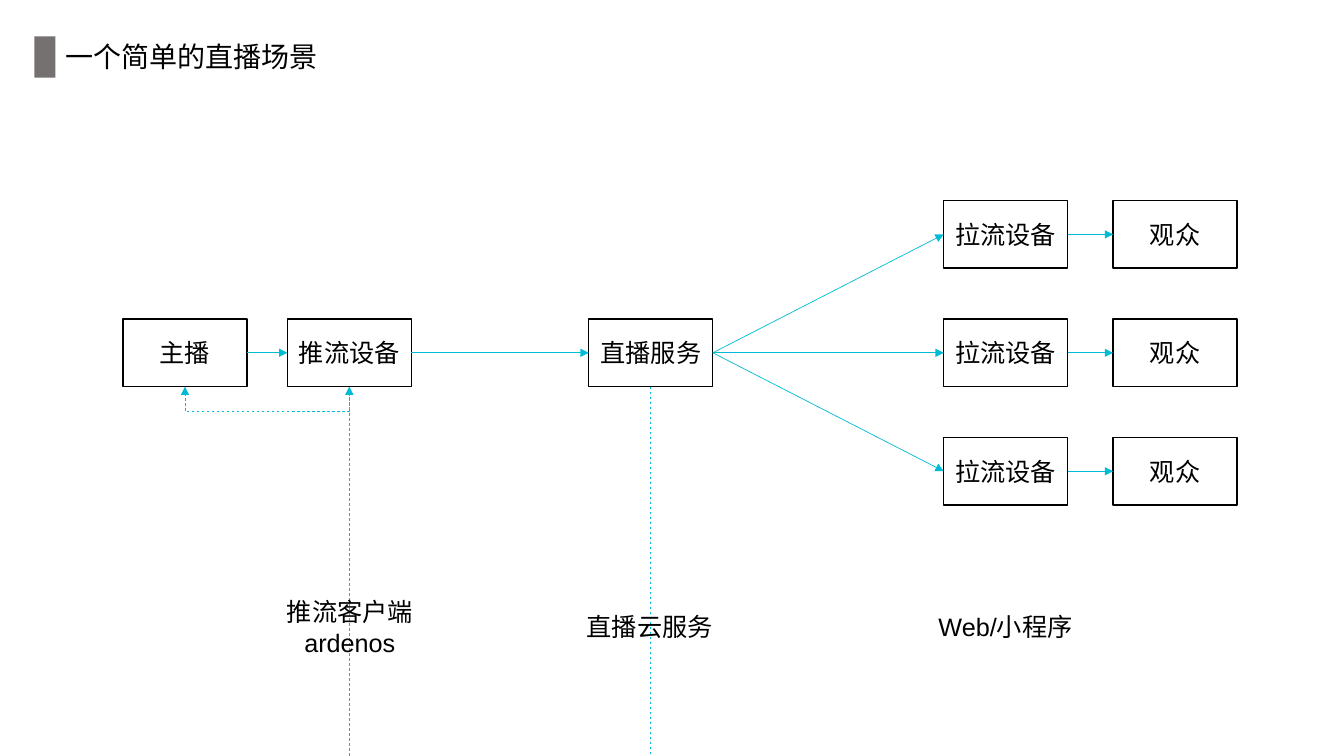
import pptx
import pptx.util
import pptx.oxml
import pptx.dml.color
import pptx.enum.dml
import pptx.enum.shapes
import pptx.enum.text
from pptx.util import Inches

# Content
TITLE = "一个简单的直播场景"
BOXES = {  # name: (text, column, row)
    "host": ("主播", 0, 1),
    "pusher": ("推流设备", 1, 1),
    "service": ("直播服务", 2, 1),
    "player 0": ("拉流设备", 3, 0),
    "player 1": ("拉流设备", 3, 1),
    "player 2": ("拉流设备", 3, 2),
    "viewer 0": ("观众", 4, 0),
    "viewer 1": ("观众", 4, 1),
    "viewer 2": ("观众", 4, 2),
}
ARROWS = [("host", "pusher"), ("pusher", "service")]
for row in range(3):
    ARROWS += [("service", f"player {row}"), (f"player {row}", f"viewer {row}")]
LABELS = [  # lines, left, top, width, height, centred, wrapped
    (["推流客户端", "ardenos"], 2.74, 5.87, 1.46, 0.71, True, False),
    (["直播云服务"], 5.72, 6.02, 1.46, 0.4, False, False),
    (["Web/小程序"], 9.21, 6.02, 1.54, 0.4, False, True),
]

# Layout and style
SLIDE_WIDTH, SLIDE_HEIGHT = 13.33, 7.5
COLUMN_LEFT = [1.22, 2.85, 5.84, 9.36, 11.04]
ROW_TOP, ROW_BOTTOM = 1.99, 4.34
ROW_PITCH = (ROW_BOTTOM - ROW_TOP) / 2
BOX_WIDTH, BOX_HEIGHT = 1.23, 0.67
LEFT_SITE, RIGHT_SITE = 1, 3
COLORS = {"text": "000000", "white": "FFFFFF", "marker": "767171", "flow": "00BBD6"}
RECTANGLE = pptx.enum.shapes.MSO_SHAPE.RECTANGLE
STRAIGHT = pptx.enum.shapes.MSO_CONNECTOR.STRAIGHT
ANCHOR = pptx.enum.text.MSO_ANCHOR
ALIGN = pptx.enum.text.PP_ALIGN


def color(name):
    return pptx.dml.color.RGBColor.from_string(COLORS[name])


def write(frame, lines, size, align):
    for index, line in enumerate(lines):
        paragraph = frame.paragraphs[0] if index == 0 else frame.add_paragraph()
        paragraph.alignment = align
        run = paragraph.add_run()
        run.text = line
        run.font.size = pptx.util.Pt(size)
        run.font.name = "Arial"
        run.font.color.rgb = color("text")


def add_rectangle(left, top, width, height, fill):
    shape = slide.shapes.add_shape(
        RECTANGLE, Inches(left), Inches(top), Inches(width), Inches(height))
    shape.shadow.inherit = False
    shape.fill.solid()
    shape.fill.fore_color.rgb = color(fill)
    return shape


def style_flow(shape, dashed=False, arrow=True):
    shape.line.color.rgb = color("flow")
    shape.line.width = pptx.util.Pt(0.5)
    if dashed:
        shape.line.dash_style = pptx.enum.dml.MSO_LINE.DASH
    if arrow:
        tail = pptx.oxml.parse_xml(
            '<a:tailEnd xmlns:a="http://schemas.openxmlformats.org/drawingml/2006/main"'
            ' type="triangle"/>')
        shape.line._get_or_add_ln().append(tail)


def add_flow(start, end, **style):
    connector = slide.shapes.add_connector(STRAIGHT, *map(Inches, start + end))
    style_flow(connector, **style)
    connector._element.spPr.append(pptx.oxml.parse_xml(
        '<a:effectLst xmlns:a="http://schemas.openxmlformats.org/drawingml/2006/main"/>'))
    return connector


presentation = pptx.Presentation()
presentation.slide_width = Inches(SLIDE_WIDTH)
presentation.slide_height = Inches(SLIDE_HEIGHT)
slide = presentation.slides.add_slide(presentation.slide_layouts[5])

# Title with its marker
add_rectangle(0.34, 0.36, 0.21, 0.41, "marker").line.fill.background()
title = slide.shapes.title
title.left, title.top, title.width, title.height = map(Inches, (0.55, 0.34, 2.73, 0.44))
title.text_frame.word_wrap = False
title.text_frame.auto_size = pptx.enum.text.MSO_AUTO_SIZE.NONE
title.text_frame.vertical_anchor = ANCHOR.TOP
write(title.text_frame, [TITLE], 20, ALIGN.LEFT)

# Boxes
boxes = {}
for name, (text, column, row) in BOXES.items():
    box = add_rectangle(COLUMN_LEFT[column], ROW_TOP + row * ROW_PITCH,
                        BOX_WIDTH, BOX_HEIGHT, "white")
    box.line.color.rgb = color("text")
    box.line.width = pptx.util.Pt(1)
    box.text_frame.word_wrap = True
    box.text_frame.vertical_anchor = ANCHOR.MIDDLE
    write(box.text_frame, [text], 18, ALIGN.CENTER)
    boxes[name] = box

# Arrows between boxes
for source, target in ARROWS:
    connector = add_flow((0, 0), (1, 1))
    connector.begin_connect(boxes[source], RIGHT_SITE)
    connector.end_connect(boxes[target], LEFT_SITE)

# Dashed return path: service to pusher by way of the bottom edge, pusher to host
host_x, pusher_x, service_x = (left + BOX_WIDTH / 2 for left in COLUMN_LEFT[:3])
box_bottom = ROW_TOP + ROW_PITCH + BOX_HEIGHT
return_y = box_bottom + 0.25
add_flow((service_x, box_bottom), (service_x, SLIDE_HEIGHT), dashed=True, arrow=False)
add_flow((pusher_x, SLIDE_HEIGHT), (pusher_x, box_bottom), dashed=True)
builder = slide.shapes.build_freeform(Inches(pusher_x), Inches(box_bottom))
builder.add_line_segments(
    [(Inches(x), Inches(y)) for x, y in
     [(pusher_x, return_y), (host_x, return_y), (host_x, box_bottom)]], close=False)
return_path = builder.convert_to_shape()
return_path.shadow.inherit = False
return_path.fill.background()
style_flow(return_path, dashed=True)

# Labels
for lines, left, top, width, height, centred, wrapped in LABELS:
    label = slide.shapes.add_textbox(*map(Inches, (left, top, width, height)))
    label.text_frame.word_wrap = wrapped
    write(label.text_frame, lines, 18, ALIGN.CENTER if centred else ALIGN.LEFT)

presentation.save("out.pptx")
